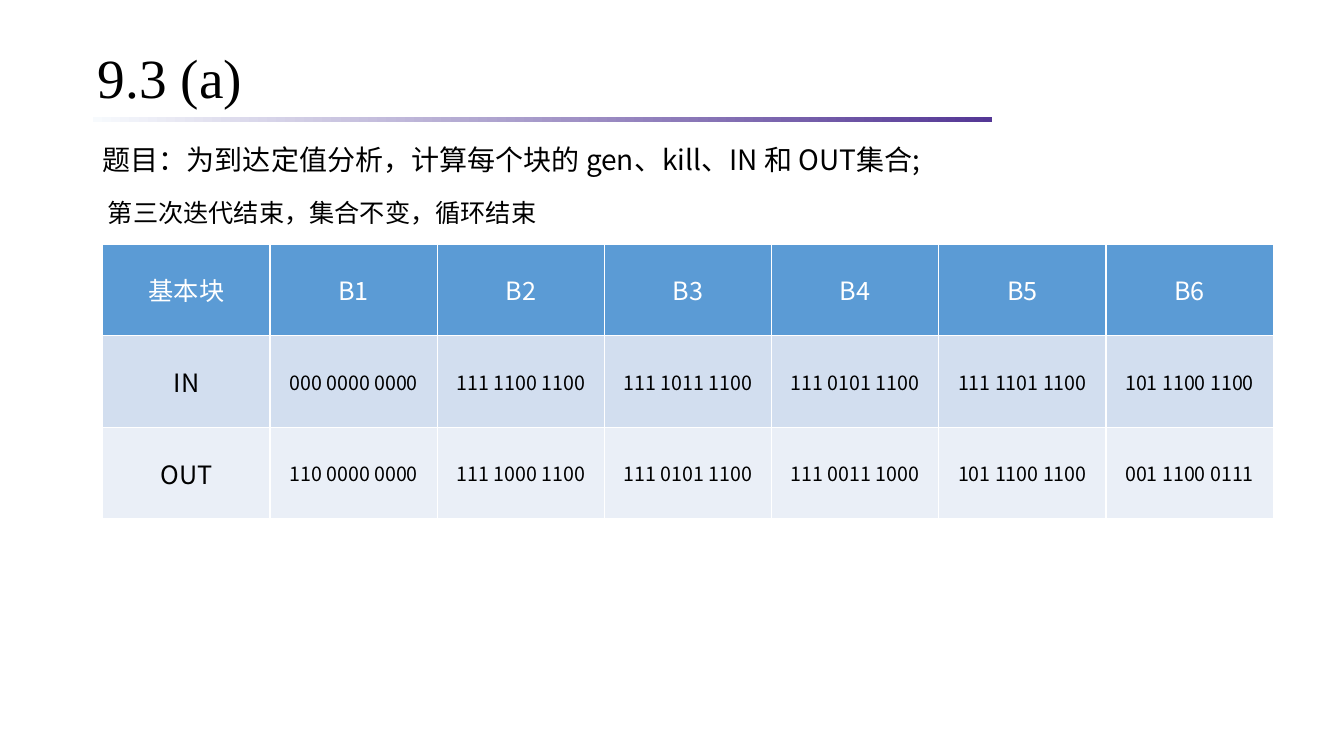
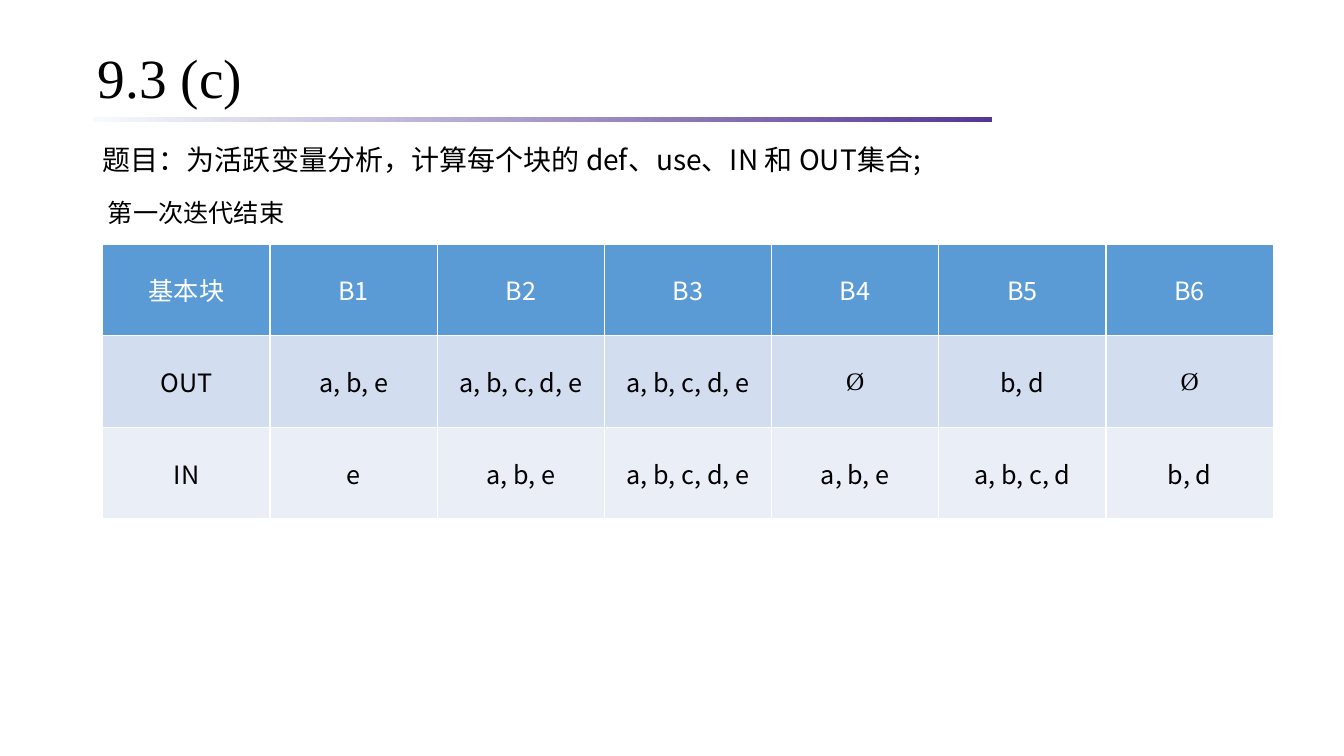
from lxml import etree
from pptx import Presentation
from pptx import util as u
from pptx.dml.color import RGBColor
from pptx.enum import shapes, text
from pptx.oxml import ns

SERIF = "Times New Roman"
SANS = "Noto Sans CJK SC"
BLACK, WHITE = "000000", "FFFFFF"
BAR_START, BAR_END = "F7FAFD", "543795"
ROW_FILLS = ("5B9BD5", "D2DEEF", "EAEFF7")
HEADER = ("基本块", "B1", "B2", "B3", "B4", "B5", "B6")
EMPTY_SET = "Ø"


def color(value):
    """Turn a hex string into a colour."""
    return RGBColor.from_string(value)


def place(shape, left, top, width, height):
    """Position a shape, with lengths in inches."""
    shape.left, shape.top = u.Inches(left), u.Inches(top)
    shape.width, shape.height = u.Inches(width), u.Inches(height)


def set_margins(frame, margin):
    """Give a text frame the same inset on all sides."""
    frame.margin_left = frame.margin_right = u.Inches(margin)
    frame.margin_top = frame.margin_bottom = u.Inches(margin)


def add_run(paragraph, wording, size, font_name, font_color=BLACK):
    """Add one formatted run, with the sans font for Chinese characters."""
    run = paragraph.add_run()
    run.text = wording
    run.font.size = u.Pt(size)
    run.font.bold = False
    run.font.color.rgb = color(font_color)
    run.font.name = font_name
    east_asian = etree.Element(ns.qn("a:ea"), typeface=SANS)
    run.font._element.find(ns.qn("a:latin")).addnext(east_asian)


def add_title_bar(slide):
    """Draw the gradient bar under the title."""
    bar = slide.shapes.add_shape(
        shapes.MSO_SHAPE.RECTANGLE,
        u.Inches(0.92), u.Inches(1.16), u.Inches(8.92), u.Inches(0.05))
    bar.shadow.inherit = False
    bar.line.fill.background()
    bar.fill.gradient()
    bar.fill.gradient_angle = 0
    for stop, value in zip(bar.fill.gradient_stops, (BAR_START, BAR_END)):
        stop.color.rgb = color(value)


def add_title(slide, wording):
    """Place and fill the title placeholder."""
    title = slide.shapes.title
    place(title, 0.92, 0.42, 11.5, 0.75)
    frame = title.text_frame
    frame.vertical_anchor = text.MSO_ANCHOR.MIDDLE
    frame.auto_size = text.MSO_AUTO_SIZE.NONE
    set_margins(frame, 0.05)
    paragraph = frame.paragraphs[0]
    paragraph.alignment = text.PP_ALIGN.LEFT
    paragraph.line_spacing = 0.9
    add_run(paragraph, wording, 39.5, SERIF)


def add_text(slide, bounds, runs, size, line_spacing=None, margin=None):
    """Add a wrapping text box of (wording, font) runs."""
    box = slide.shapes.add_textbox(*map(u.Inches, bounds))
    frame = box.text_frame
    frame.word_wrap = True
    frame.auto_size = text.MSO_AUTO_SIZE.SHAPE_TO_FIT_TEXT
    if margin is not None:
        set_margins(frame, margin)
    paragraph = frame.paragraphs[0]
    paragraph.line_spacing = line_spacing
    for wording, font_name in runs:
        add_run(paragraph, wording, size, font_name)


def set_borders(cell):
    """Draw thin white borders round a cell."""
    properties = cell._tc.get_or_add_tcPr()
    for side in "LRTB":
        line = etree.SubElement(
            properties, ns.qn(f"a:ln{side}"), w=str(u.Pt(1)))
        fill = etree.SubElement(line, ns.qn("a:solidFill"))
        etree.SubElement(fill, ns.qn("a:srgbClr"), val=WHITE)


def fill_cell(cell, wording, fill, size, font_color):
    """Format one table cell and write its text."""
    set_borders(cell)
    cell.fill.solid()
    cell.fill.fore_color.rgb = color(fill)
    cell.vertical_anchor = text.MSO_ANCHOR.MIDDLE
    paragraph = cell.text_frame.paragraphs[0]
    paragraph.alignment = text.PP_ALIGN.CENTER
    font_name = SERIF if wording == EMPTY_SET else SANS
    add_run(paragraph, wording, size, font_name, font_color)


def add_block_table(slide, body_rows, value_size):
    """Add the table of sets for each basic block."""
    rows = (HEADER, *body_rows)
    table = slide.shapes.add_table(
        len(rows), len(HEADER),
        u.Inches(1.02), u.Inches(2.42), u.Inches(11.61), u.Inches(2.73)).table
    for row_index, row in enumerate(rows):
        is_header = row_index == 0
        for column_index, wording in enumerate(row):
            is_label = is_header or column_index == 0
            fill_cell(
                table.cell(row_index, column_index), wording,
                ROW_FILLS[row_index],
                18 if is_label else value_size,
                WHITE if is_header else BLACK)


def add_exercise_slide(presentation, title, question, status, body_rows,
                       value_size):
    """Add a slide with a title, question, iteration status and table."""
    slide = presentation.slides.add_slide(presentation.slide_layouts[5])
    add_title_bar(slide)
    add_title(slide, title)
    add_text(slide, (0.92, 1.2, 11.28, 0.61),
             (("题目：", SERIF), (question, SANS)), 20, line_spacing=1.5)
    add_block_table(slide, body_rows, value_size)
    add_text(slide, (1.02, 1.91, 11.89, 0.4),
             ((status, SERIF),), 18, margin=0.05)


def main():
    """Build and save the presentation."""
    presentation = Presentation()
    presentation.slide_width = u.Inches(13.33)
    presentation.slide_height = u.Inches(7.5)
    add_exercise_slide(
        presentation, "9.3 (a)",
        "为到达定值分析，计算每个块的 gen、kill、IN 和 OUT集合;",
        "第三次迭代结束，集合不变，循环结束",
        (("IN", "000 0000 0000", "111 1100 1100", "111 1011 1100",
          "111 0101 1100", "111 1101 1100", "101 1100 1100"),
         ("OUT", "110 0000 0000", "111 1000 1100", "111 0101 1100",
          "111 0011 1000", "101 1100 1100", "001 1100 0111")),
        14)
    add_exercise_slide(
        presentation, "9.3 (c)",
        "为活跃变量分析，计算每个块的 def、use、IN 和 OUT集合;",
        "第一次迭代结束",
        (("OUT", "a, b, e", "a, b, c, d, e", "a, b, c, d, e",
          EMPTY_SET, "b, d", EMPTY_SET),
         ("IN", "e", "a, b, e", "a, b, c, d, e",
          "a, b, e", "a, b, c, d", "b, d")),
        18)
    presentation.save("out.pptx")


if __name__ == "__main__":
    main()
